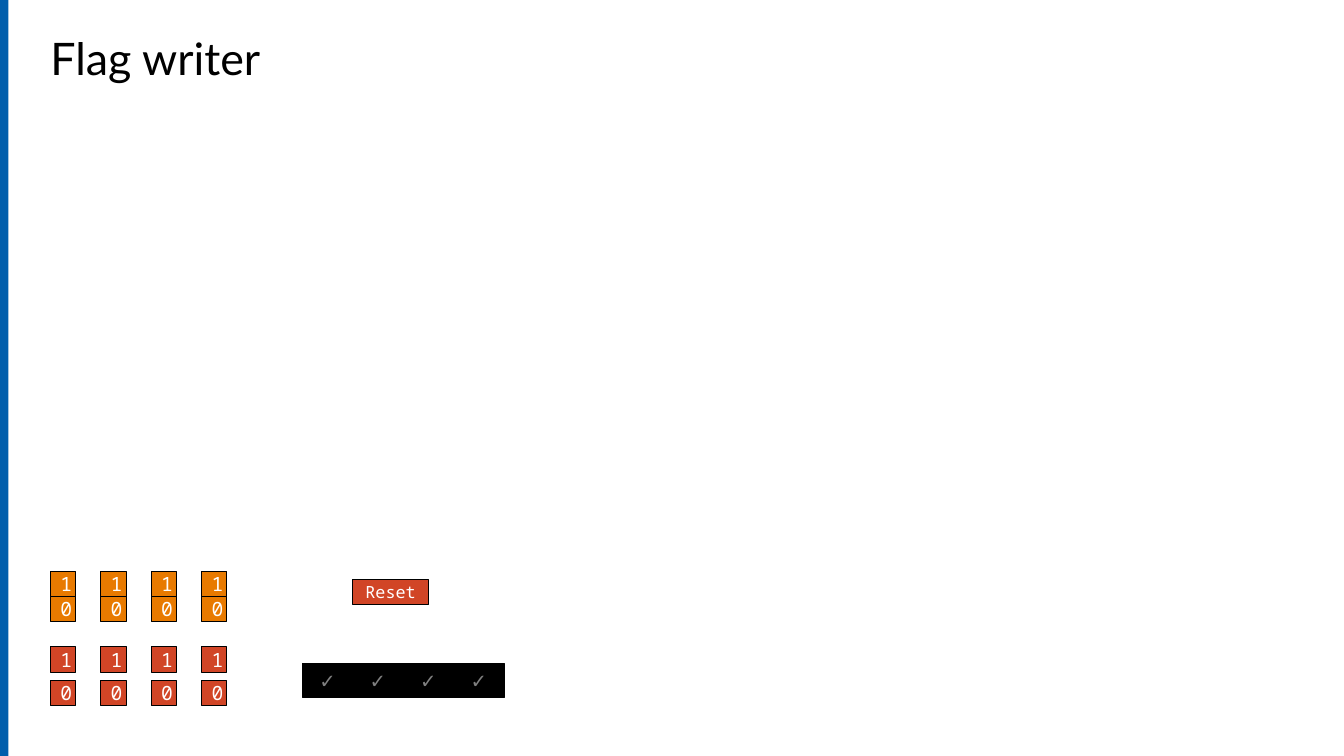
import pptx
import pptx.dml.color
import pptx.enum.shapes
import pptx.enum.text
import pptx.util

Pt = pptx.util.Pt
ORANGE, RED, BLACK, WHITE, GREY = "E87A00", "D14526", "000000", "FFFFFF", "808080"


def color(value):
    return pptx.dml.color.RGBColor.from_string(value)


def add_cell(left, top, width, height, fill, text, size=14, ink=WHITE):
    cell = page.shapes.add_shape(
        pptx.enum.shapes.MSO_SHAPE.RECTANGLE, Pt(left), Pt(top), Pt(width), Pt(height))
    cell.shadow.inherit = False
    cell.fill.solid()
    cell.fill.fore_color.rgb = color(fill)
    cell.line.color.rgb = color(BLACK)
    cell.line.width = Pt(0.5)
    para = cell.text_frame.paragraphs[0]
    para.alignment = pptx.enum.text.PP_ALIGN.CENTER
    span = para.add_run()
    span.text = text
    span.font.name = "Noto Sans Mono"
    span.font.size = Pt(size)
    span.font.color.rgb = color(ink)
    return cell


deck = pptx.Presentation()
deck.slide_width, deck.slide_height = Pt(960), Pt(540)
page = deck.slides.add_slide(deck.slide_layouts[5])

side_bar = page.shapes.add_shape(
    pptx.enum.shapes.MSO_SHAPE.RECTANGLE, Pt(0), Pt(0), Pt(6), Pt(540))
side_bar.shadow.inherit = False
side_bar.fill.solid()
side_bar.fill.fore_color.rgb = color("005EAC")
side_bar.line.fill.background()

title = page.shapes.title
title.left, title.top, title.width, title.height = Pt(36), Pt(18), Pt(432), Pt(46)
frame = title.text_frame
frame.auto_size = pptx.enum.text.MSO_AUTO_SIZE.SHAPE_TO_FIT_TEXT
frame.vertical_anchor = pptx.enum.text.MSO_ANCHOR.TOP
frame.margin_left = frame.margin_right = Pt(0)
para = frame.paragraphs[0]
para.alignment = pptx.enum.text.PP_ALIGN.LEFT
span = para.add_run()
span.text = "Flag writer"
span.font.name = "Lato"
span.font.size = Pt(32)
span.font.color.rgb = color(BLACK)

bit_buttons = [("0", 426, ORANGE), ("1", 408, ORANGE), ("0", 486, RED), ("1", 462, RED)]
for column in range(4):
    offset = 36 * column
    for digit, top, fill in bit_buttons:
        add_cell(36 + offset, top, 18, 18, fill, digit)
    add_cell(216 + offset, 474, 36, 24, BLACK, "✓", ink=GREY)

reset_button = add_cell(252, 414, 54, 18, RED, "Reset", size=12)
reset_button.text_frame.word_wrap = False

deck.save("out.pptx")
